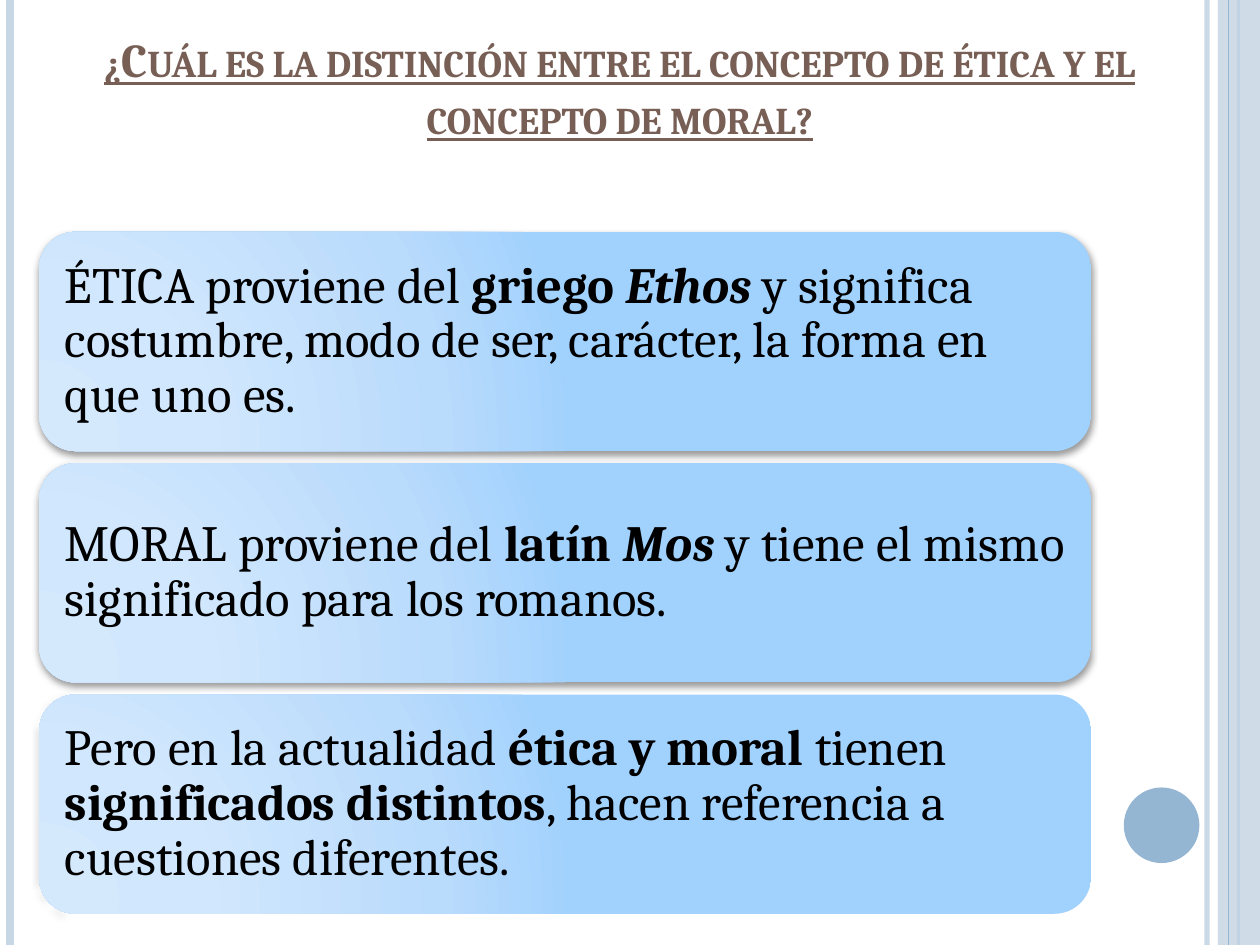
from lxml.etree import SubElement
from pptx import Presentation
from pptx.dml.color import RGBColor
from pptx.enum.shapes import MSO_CONNECTOR, MSO_SHAPE
from pptx.enum.text import MSO_ANCHOR, PP_ALIGN
from pptx.oxml import parse_xml
from pptx.oxml.ns import nsdecls, qn
from pptx.util import Pt

COLORS = {
    "pale_blue": "C8D7E5",
    "steel_blue": "94B6D2",
    "title": "775F55",
    "text": "000000",
    "shadow": "000000",
}
CARD_GRADIENT = [(0, "D5E9FD"), (30, "D1E7FD"), (75, "B9DBFC"), (100, "A1D1FD")]
FONT = "Cambria"
SLIDE_WIDTH, SLIDE_HEIGHT = 720, 540

# x, colour, line width, opacity in percent
BACK_RULES = [
    (689.8, "pale_blue", 3, 93),
    (5.8, "pale_blue", 4.5, 100),
    (707.8, "steel_blue", 1.5, 100),
]
FRONT_RULE = (702, "steel_blue", 0.75, 100)

CARD_LEFT, CARD_TOP, CARD_WIDTH, CARD_HEIGHT = 22.3, 132.5, 601.2, 125.3
CARD_PITCH = 132.2

TITLE = "¿Cuál es la distinción entre el concepto de ética y el concepto de moral?"
# Each run is its text and its style: "b" for bold, "i" for italic
CARDS = [
    [("ÉTICA proviene del ", ""), ("griego ", "b"), ("Ethos ", "bi"),
     ("y significa costumbre, modo de ser, carácter, la forma en que uno es.", "")],
    [("MORAL proviene del ", ""), ("latín ", "b"), ("Mos ", "bi"),
     ("y tiene el mismo significado para los romanos.", "")],
    [("Pero en la actualidad ", ""), ("ética y moral ", "b"), ("tienen ", ""),
     ("significados distintos", "b"),
     (", hacen referencia a cuestiones diferentes.", "")],
]


def rgb(name):
    return RGBColor.from_string(COLORS[name])


def set_opacity(element, percent):
    """Make the solid colour inside a fill or line partly transparent."""
    if percent < 100:
        color = next(element.iter(qn("a:srgbClr")))
        SubElement(color, qn("a:alpha"), val=str(percent * 1000))


def add_rule(slide, x, color, width, opacity):
    rule = slide.shapes.add_connector(
        MSO_CONNECTOR.STRAIGHT, Pt(x), Pt(0), Pt(x), Pt(SLIDE_HEIGHT))
    rule.line.color.rgb = rgb(color)
    rule.line.width = Pt(width)
    properties = rule._element.spPr
    set_opacity(properties, opacity)
    SubElement(properties, qn("a:effectLst"))


def add_plain_shape(slide, kind, left, top, width, height, color=None, opacity=100):
    shape = slide.shapes.add_shape(kind, Pt(left), Pt(top), Pt(width), Pt(height))
    shape.shadow.inherit = False
    shape.line.fill.background()
    if color:
        shape.fill.solid()
        shape.fill.fore_color.rgb = rgb(color)
        set_opacity(shape._element.spPr, opacity)
    return shape


def write_text(frame, runs, *, size, color="text", align=PP_ALIGN.LEFT,
               anchor=MSO_ANCHOR.MIDDLE, insets=(8.64,) * 4, spacing=None,
               underline=None, small_caps=False):
    """Fill a text frame with one paragraph of (text, style) runs."""
    frame.word_wrap = True
    frame.vertical_anchor = anchor
    (frame.margin_left, frame.margin_top,
     frame.margin_right, frame.margin_bottom) = map(Pt, insets)
    paragraph = frame.paragraphs[0]
    paragraph.alignment = align
    paragraph.line_spacing = spacing
    for text, style in runs:
        run = paragraph.add_run()
        run.text = text
        font = run.font
        font.name, font.size = FONT, Pt(size)
        font.color.rgb = rgb(color)
        font.bold, font.italic = "b" in style, "i" in style
        font.underline = underline
        if small_caps:
            run._r.get_or_add_rPr().set("cap", "small")


def apply_card_gradient(shape):
    """Replace the fill by a radial gradient spreading from the lower left."""
    shape.fill.gradient()
    stops = "".join(
        f'<a:gs pos="{position * 1000}"><a:srgbClr val="{color}"/></a:gs>'
        for position, color in CARD_GRADIENT)
    radial = parse_xml(
        f'<a:gradFill {nsdecls("a")} rotWithShape="1"><a:gsLst>{stops}</a:gsLst>'
        '<a:path path="circle">'
        '<a:fillToRect l="5000" t="100000" r="120000" b="10000"/>'
        '</a:path></a:gradFill>')
    properties = shape._element.spPr
    properties.replace(properties.find(qn("a:gradFill")), radial)


def apply_card_shadow(shape):
    effects = shape._element.spPr.find(qn("a:effectLst"))
    shadow = SubElement(effects, qn("a:outerShdw"), blurRad=str(Pt(4)),
                        dist=str(Pt(2)), dir="5400000", rotWithShape="0")
    color = SubElement(shadow, qn("a:srgbClr"), val=COLORS["shadow"])
    SubElement(color, qn("a:alpha"), val="40000")


def add_card(slide, top, runs):
    card = add_plain_shape(slide, MSO_SHAPE.ROUNDED_RECTANGLE,
                           CARD_LEFT, top, CARD_WIDTH, CARD_HEIGHT)
    apply_card_gradient(card)
    apply_card_shadow(card)
    write_text(card.text_frame, runs, size=29, spacing=0.9)


def add_title(slide):
    title = slide.shapes.add_textbox(Pt(28), Pt(28), Pt(652.4), Pt(90))
    write_text(title.text_frame, [(TITLE, "b")], size=27, color="title",
               align=PP_ALIGN.CENTER, anchor=MSO_ANCHOR.BOTTOM,
               insets=(7.2, 3.6, 7.2, 36), underline=True, small_caps=True)


def add_decoration(slide):
    for rule in BACK_RULES:
        add_rule(slide, *rule)
    add_plain_shape(slide, MSO_SHAPE.RECTANGLE, 696, 0, 24, SLIDE_HEIGHT,
                    "pale_blue", 87)
    add_rule(slide, *FRONT_RULE)
    add_plain_shape(slide, MSO_SHAPE.OVAL, 642.2, 450, 43.2, 43.2, "steel_blue")


def main():
    presentation = Presentation()
    presentation.slide_width = Pt(SLIDE_WIDTH)
    presentation.slide_height = Pt(SLIDE_HEIGHT)
    slide = presentation.slides.add_slide(presentation.slide_layouts[6])
    add_decoration(slide)
    add_title(slide)
    for row, runs in enumerate(CARDS):
        add_card(slide, CARD_TOP + row * CARD_PITCH, runs)
    presentation.save("out.pptx")


if __name__ == "__main__":
    main()
